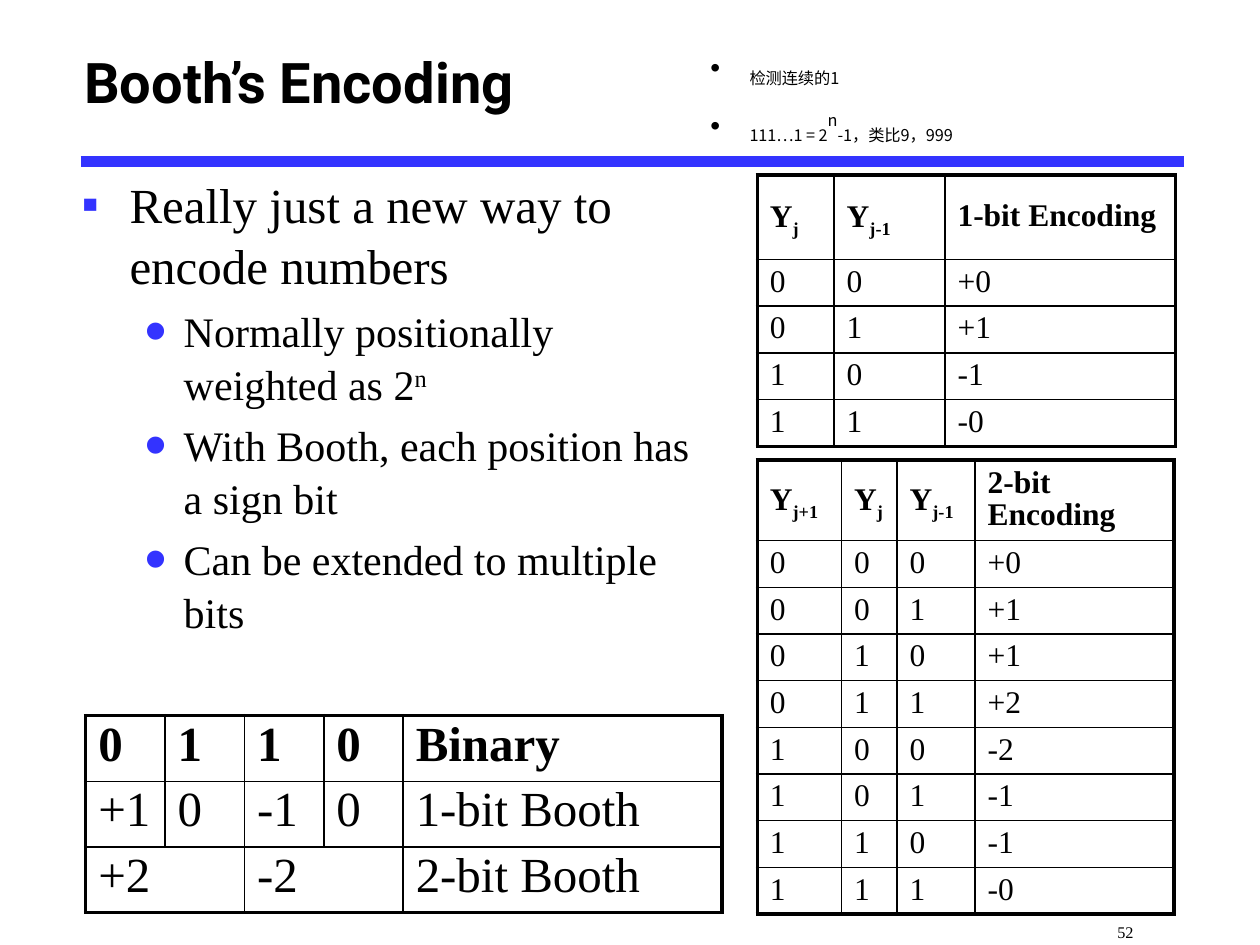
from dataclasses import dataclass
from typing import Optional

from pptx import Presentation, util as u
from pptx.dml.color import RGBColor
from pptx.enum import shapes, text
from pptx.oxml import ns
from lxml import etree

COLOURS = {"ink": "000000", "accent": "3333FF"}
SERIF = "Times New Roman"
SUB, SUPER = -25, 30
THIN, THICK = 1, 2.25


@dataclass
class Style:
    """Look of a piece of text."""
    size: float
    face: str = SERIF
    bold: bool = False
    baseline: int = 0


@dataclass
class Bullet:
    """Mark and hanging indent of a list paragraph."""
    mark: str
    left: float
    hang: float
    colour: str = "accent"
    percent: int = 100


@dataclass
class Item:
    """One paragraph, made of (wording, baseline) pieces."""
    pieces: list
    style: Style
    bullet: Optional[Bullet] = None
    before: float = 0
    spacing: float = 1.0


@dataclass
class Grid:
    """A ruled table with its header in the first row."""
    left: float
    top: float
    widths: list
    heights: list
    rows: list
    size: float
    anchor: text.MSO_ANCHOR
    merges: tuple = ()


def colour(key: str) -> RGBColor:
    """Look up a palette colour."""
    return RGBColor.from_string(COLOURS[key])


def child(parent, tag: str, **attributes):
    """Append a DrawingML element."""
    return etree.SubElement(parent, ns.qn(f"a:{tag}"), attributes)


def add_run(paragraph, wording: str, style: Style, baseline: int) -> None:
    """Add formatted text to a paragraph."""
    run = paragraph.add_run()
    run.text = wording
    formats = {"size": u.Pt(style.size), "name": style.face, "bold": style.bold}
    for attribute, value in formats.items():
        setattr(run.font, attribute, value)
    run.font.color.rgb = colour("ink")
    properties = run._r.get_or_add_rPr()
    child(properties, "ea", typeface=style.face)
    if baseline:
        properties.set("baseline", str(baseline * 1000))


def add_bullet(paragraph, bullet: Bullet) -> None:
    """Give a paragraph its mark and hanging indent."""
    properties = paragraph._p.get_or_add_pPr()
    properties.set("marL", str(u.Inches(bullet.left)))
    properties.set("indent", str(-u.Inches(bullet.hang)))
    child(child(properties, "buClr"), "srgbClr", val=COLOURS[bullet.colour])
    child(properties, "buSzPct", val=str(bullet.percent * 1000))
    child(properties, "buFont", typeface="Arial")
    child(properties, "buChar", char=bullet.mark)


def fill_frame(frame, items: list[Item]) -> None:
    """Write paragraphs into a text frame."""
    for index, item in enumerate(items):
        paragraph = frame.add_paragraph() if index else frame.paragraphs[0]
        if item.bullet:
            add_bullet(paragraph, item.bullet)
        formats = {"space_before": u.Pt(item.before), "line_spacing": item.spacing}
        for attribute, value in formats.items():
            setattr(paragraph, attribute, value)
        for wording, baseline in item.pieces:
            add_run(paragraph, wording, item.style, baseline)


def add_text(slide, box: tuple, items: list[Item], anchor=text.MSO_ANCHOR.TOP) -> None:
    """Place a wrapped text box."""
    frame = slide.shapes.add_textbox(*map(u.Inches, box)).text_frame
    frame.word_wrap = True
    frame.vertical_anchor = anchor
    fill_frame(frame, items)


def rule_cell(cell, sides: dict[str, float]) -> None:
    """Draw the borders of a cell and clear its fill."""
    properties = cell._tc.get_or_add_tcPr()
    for side, points in sides.items():
        border = child(properties, f"ln{side}", w=str(u.Pt(points)))
        child(child(border, "solidFill"), "srgbClr", val=COLOURS["ink"])
    cell.fill.background()


def add_grid(slide, grid: Grid) -> None:
    """Place a table with a thick frame and thin inner rules."""
    last_row, last_column = len(grid.heights) - 1, len(grid.widths) - 1
    box = (grid.left, grid.top, sum(grid.widths), sum(grid.heights))
    table = slide.shapes.add_table(last_row + 1, last_column + 1, *map(u.Inches, box)).table
    table.first_row = table.horz_banding = False
    for column, width in zip(table.columns, grid.widths):
        column.width = u.Inches(width)
    for row, height in zip(table.rows, grid.heights):
        row.height = u.Inches(height)
    for r, words in enumerate(grid.rows):
        for c, word in enumerate(words):
            cell = table.cell(r, c)
            outer = {"L": c == 0, "R": c == last_column, "T": r == 0, "B": r == last_row}
            rule_cell(cell, {side: THICK if edge else THIN for side, edge in outer.items()})
            cell.vertical_anchor = grid.anchor
            if word:
                stem, _, index = word.partition("_")
                pieces = [(stem, 0)] + ([(index, SUB)] if index else [])
                style = Style(grid.size, bold=r == 0)
                fill_frame(cell.text_frame, [Item(pieces, style, spacing=0.9)])
    for r, first, last in grid.merges:
        table.cell(r, first).merge(table.cell(r, last))


def add_rule(slide) -> None:
    """Draw the bar under the title."""
    ends = map(u.Inches, (0.64, 1.28, 9.4, 1.28))
    bar = slide.shapes.add_connector(shapes.MSO_CONNECTOR.STRAIGHT, *ends)
    bar.line.color.rgb = colour("accent")
    bar.line.width = u.Pt(6)
    child(bar._element.spPr, "effectLst")


def main() -> None:
    """Build the slide on Booth's encoding."""
    deck = Presentation()
    deck.slide_width, deck.slide_height = u.Inches(10), u.Inches(7.5)
    slide = deck.slides.add_slide(deck.slide_layouts[6])
    add_rule(slide)
    middle = text.MSO_ANCHOR.MIDDLE
    heading = Item([("Booth’s Encoding", 0)], Style(32, "Roboto", True))
    add_text(slide, (0.57, 0.08, 8.5, 1.12), [heading], middle)
    add_text(slide, (8.77, 7.12, 1.23, 0.38), [Item([("52", SUB)], Style(16))])

    square = Bullet("▪", 0.38, 0.38)
    dot = Bullet("•", 0.81, 0.31, percent=150)
    claim = Item([("Really just a new way to encode numbers", 0)], Style(28), square, spacing=1.05)
    details = [
        [("Normally positionally weighted as 2", 0), ("n", SUPER)],
        [("With Booth, each position has a sign bit", 0)],
        [("Can be extended to multiple bits", 0)],
    ]
    points = [Item(pieces, Style(24), dot, 4.8, 1.05) for pieces in details]
    add_text(slide, (0.55, 1.31, 5.05, 5.04), [claim, *points])

    add_grid(slide, Grid(
        0.68, 5.68, [0.63] * 4 + [2.53], [0.52] * 3,
        [["0", "1", "1", "0", "Binary"], ["+1", "0", "-1", "0", "1-bit Booth"],
         ["+2", "", "-2", "", "2-bit Booth"]],
        28, text.MSO_ANCHOR.TOP, ((2, 0, 1), (2, 2, 3))))
    one_bit = [[*bits, code] for bits, code in zip(("00", "01", "10", "11"), ("+0", "+1", "-1", "-0"))]
    add_grid(slide, Grid(
        6.01, 1.39, [0.61, 0.88, 1.83], [0.67] + [0.35] * 4,
        [["Y_j", "Y_j-1", "1-bit Encoding"], *one_bit], 18, middle))
    two_bit_codes = ("+0", "+1", "+1", "+2", "-2", "-1", "-1", "-0")
    two_bit = [[*f"{value:03b}", code] for value, code in enumerate(two_bit_codes)]
    add_grid(slide, Grid(
        6.01, 3.65, [0.67, 0.44, 0.62, 1.58], [0.63] + [0.35] * 8,
        [["Y_j+1", "Y_j", "Y_j-1", "2-bit Encoding"], *two_bit], 18, middle))

    remark = Bullet("•", 0.31, 0.31, "ink")
    remarks = [
        [("检测连续的1", SUB)],
        [("111…1 = 2", SUB), ("n", SUPER), ("-1，类比9，999", SUB)],
    ]
    small = Style(16, "Noto Sans CJK SC")
    add_text(slide, (5.54, 0.19, 3.89, 0.86),
             [Item(pieces, small, remark, spacing=1.5) for pieces in remarks])
    deck.save("out.pptx")


if __name__ == "__main__":
    main()
